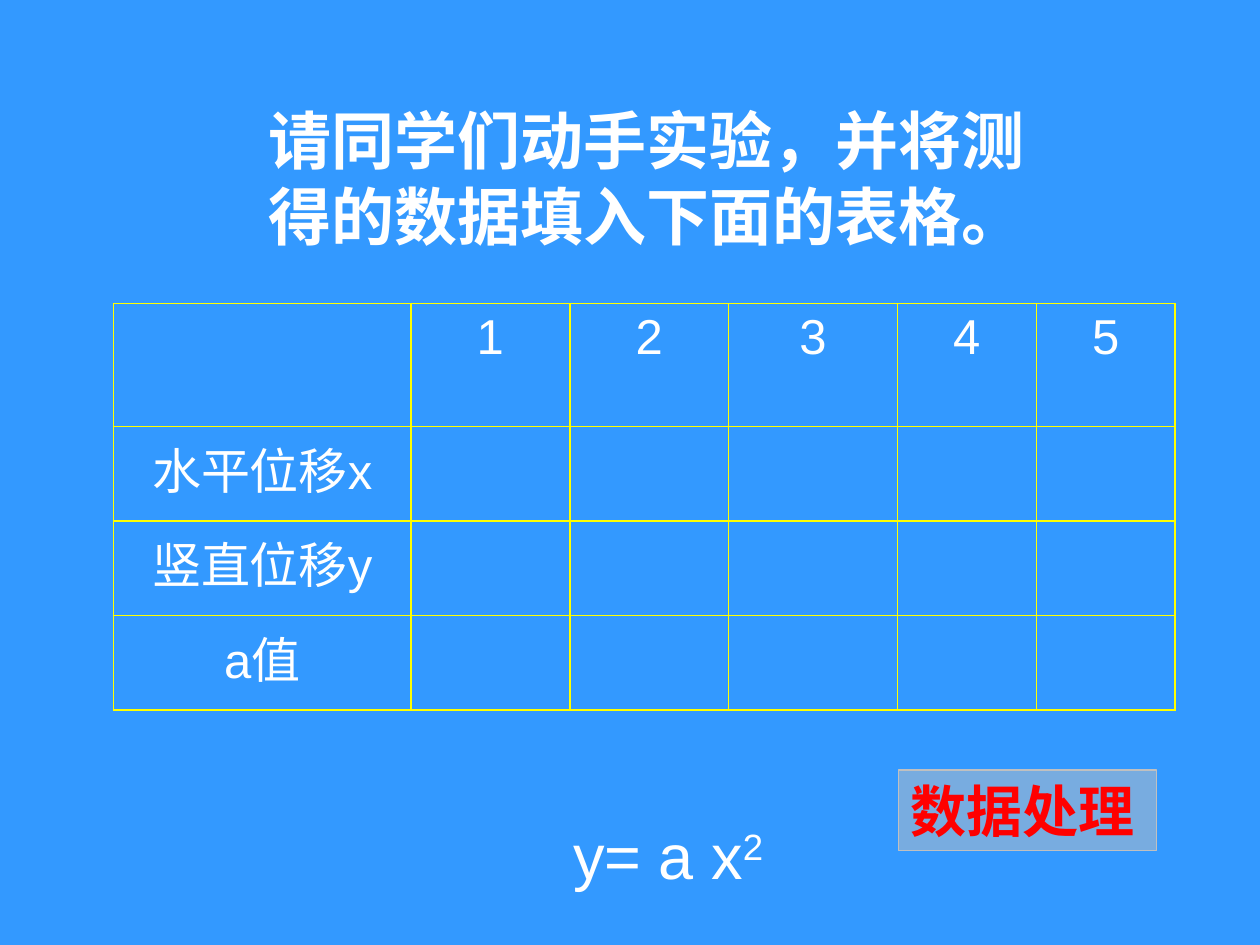
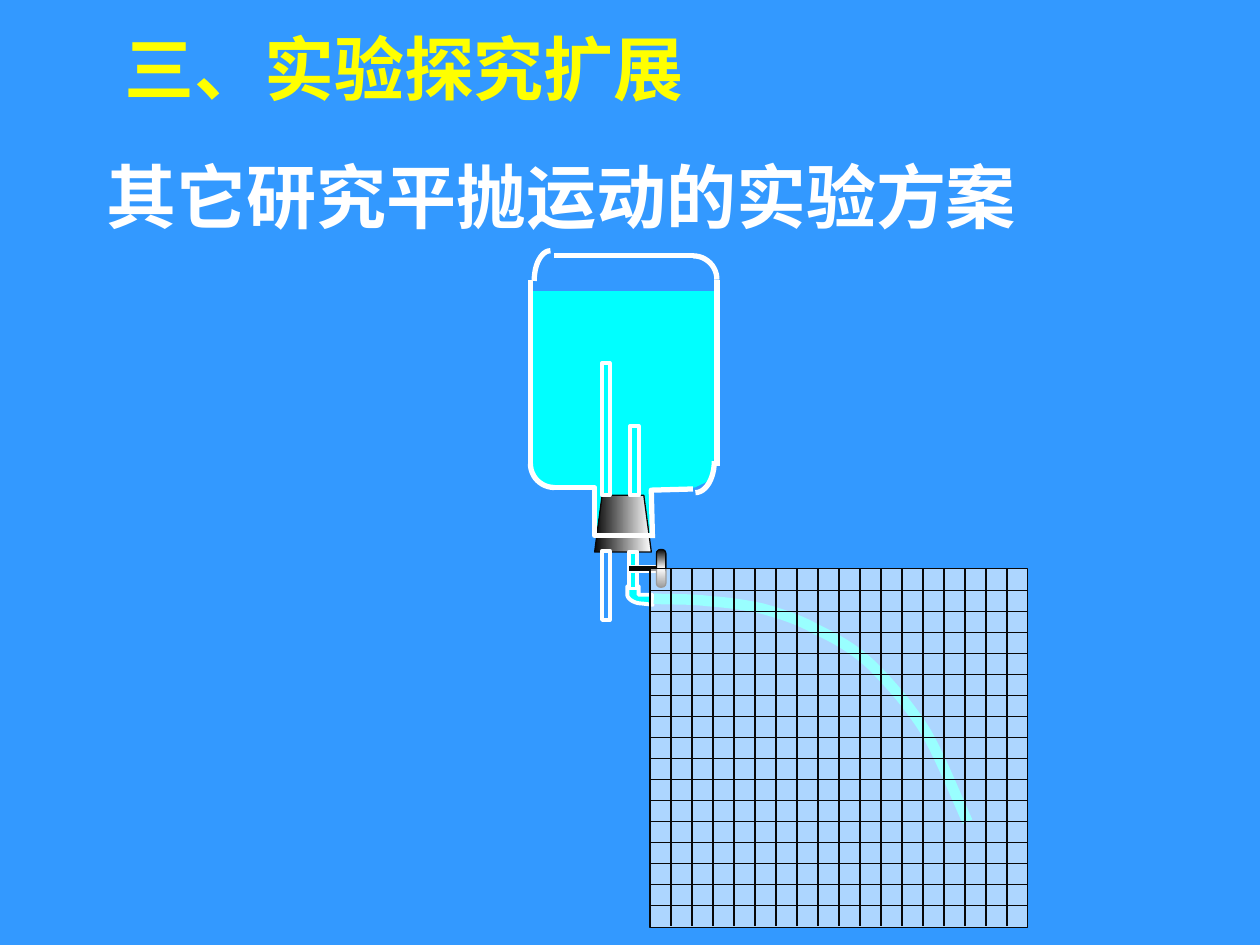
from math import cos, pi, sin

from lxml.etree import SubElement
from pptx import Presentation
from pptx.dml.color import RGBColor
from pptx.enum.shapes import MSO_CONNECTOR, MSO_SHAPE
from pptx.enum.text import MSO_ANCHOR, MSO_AUTO_SIZE, PP_ALIGN
from pptx.oxml.ns import qn
from pptx.util import Pt

BLUE, WHITE, YELLOW = "3399FF", "FFFFFF", "FFFF00"
CYAN, BLACK, SILVER, RED = "00FFFF", "080808", "C0C0C0", "FF0000"
FONT = "Arial"


def rgb(color):
    return RGBColor.from_string(color)


def add_page(deck):
    page = deck.slides.add_slide(deck.slide_layouts[6])
    page.background.fill.solid()
    page.background.fill.fore_color.rgb = rgb(BLUE)
    return page


def add_span(para, text, size, color=WHITE, bold=False):
    span = para.add_run()
    span.text = text
    span.font.name = FONT
    span.font.size = Pt(size)
    span.font.bold = bold
    span.font.color.rgb = rgb(color)
    return span


def add_text(page, left, top, width, height, text, size, color=WHITE,
             bold=True, wrap=False, anchor=MSO_ANCHOR.TOP):
    box = page.shapes.add_textbox(Pt(left), Pt(top), Pt(width), Pt(height))
    frame = box.text_frame
    frame.word_wrap = wrap
    frame.auto_size = MSO_AUTO_SIZE.SHAPE_TO_FIT_TEXT
    frame.vertical_anchor = anchor
    add_span(frame.paragraphs[0], text, size, color, bold)
    return box


def paint(shape, fill=None, line=None, weight=0.75, opacity=None):
    shape.shadow.inherit = False
    if fill:
        shape.fill.solid()
        shape.fill.fore_color.rgb = rgb(fill)
    else:
        shape.fill.background()
    if opacity:
        color = shape._element.spPr.find(qn("a:solidFill"))[0]
        SubElement(color, qn("a:alpha"), val=str(opacity * 1000))
    if line:
        shape.line.color.rgb = rgb(line)
        shape.line.width = Pt(weight)
    else:
        shape.line.fill.background()
    return shape


def paint_gradient(shape, colors, angle):
    """Spread the colours evenly along the shape."""
    shape.fill.gradient()
    shape.fill.gradient_angle = angle
    stops = shape._element.spPr.find(qn("a:gradFill")).find(qn("a:gsLst"))
    for stop in list(stops):
        stops.remove(stop)
    for index, color in enumerate(colors):
        position = index * 100000 // (len(colors) - 1)
        stop = SubElement(stops, qn("a:gs"), pos=str(position))
        SubElement(stop, qn("a:srgbClr"), val=color)


def add_box(page, left, top, width, height, kind=MSO_SHAPE.RECTANGLE, **style):
    box = page.shapes.add_shape(kind, Pt(left), Pt(top), Pt(width), Pt(height))
    return paint(box, **style)


def add_line(page, x1, y1, x2, y2, color, weight):
    line = page.shapes.add_connector(
        MSO_CONNECTOR.STRAIGHT, Pt(x1), Pt(y1), Pt(x2), Pt(y2))
    line.line.color.rgb = rgb(color)
    line.line.width = Pt(weight)
    SubElement(line._element.spPr, qn("a:effectLst"))


def add_outline(page, left, top, points, closed=False, **style):
    points = [(Pt(left + x), Pt(top + y)) for x, y in points]
    builder = page.shapes.build_freeform(*points[0], scale=1.0)
    builder.add_line_segments(points[1:], close=closed)
    return paint(builder.convert_to_shape(), **style)


def bezier(points, steps=10):
    """Flatten a chain of cubic curves that share their end points."""
    flat = [points[0]]
    for first in range(0, len(points) - 1, 3):
        curve = points[first:first + 4]
        for step in range(1, steps + 1):
            t = step / steps
            weights = ((1 - t) ** 3, 3 * t * (1 - t) ** 2,
                       3 * t * t * (1 - t), t ** 3)
            flat.append(tuple(sum(w * point[axis] for w, point in zip(weights, curve))
                              for axis in (0, 1)))
    return flat


def quarter_arc(side, flat, steps=12):
    """Go from a point on an upright side to a point on a level edge."""
    angles = [pi / 2 * step / steps for step in range(steps + 1)]
    return [(flat[0] + (side[0] - flat[0]) * cos(angle),
             side[1] + (flat[1] - side[1]) * sin(angle)) for angle in angles]


def border_cell(cell):
    properties = cell._tc.get_or_add_tcPr()
    for index, side in enumerate(("a:lnL", "a:lnR", "a:lnT", "a:lnB")):
        line = properties.makeelement(qn(side), {"w": str(Pt(1))})
        fill = SubElement(line, qn("a:solidFill"))
        SubElement(fill, qn("a:srgbClr"), val=YELLOW)
        properties.insert(index, line)


def add_data_table(page, left, top):
    widths = [170, 90.8, 90.8, 96.4, 79.4, 79.4]
    heights = [70.2, 54, 54, 54]
    row_names = ["水平位移x", "竖直位移y", "a值"]
    table = page.shapes.add_table(
        len(heights), len(widths), Pt(left), Pt(top),
        Pt(sum(widths)), Pt(sum(heights))).table
    table.first_row = table.horz_banding = False
    for column, width in zip(table.columns, widths):
        column.width = Pt(width)
    for row, height in zip(table.rows, heights):
        row.height = Pt(height)
    for cell in table.iter_cells():
        cell.fill.background()
        border_cell(cell)
    for number in range(1, len(widths)):
        para = table.cell(0, number).text_frame.paragraphs[0]
        para.alignment = PP_ALIGN.CENTER
        add_span(para, str(number), 28)
    for row, name in enumerate(row_names, 1):
        para = table.cell(row, 0).text_frame.paragraphs[0]
        para.alignment = PP_ALIGN.CENTER
        properties = para._p.get_or_add_pPr()
        properties.set("marL", str(Pt(42)))
        properties.set("indent", str(-Pt(42)))
        add_span(para, name, 28)


def add_button(page, left, top):
    button = add_box(page, left, top, 147.6, 46, fill=SILVER, line=SILVER, opacity=49)
    frame = button.text_frame
    frame.word_wrap = True
    frame.vertical_anchor = MSO_ANCHOR.TOP
    para = frame.paragraphs[0]
    para.alignment = PP_ALIGN.LEFT
    add_span(para, "数据处理", 32, RED, True)


def add_bottle(page, left, top):
    glass = {"line": WHITE, "weight": 3}
    water = [(69, 159), (68.4, 133.2), (77, 132.5), (84, 133.2), (94, 132.4),
             (103, 128.2), (105.4, 112), (105.8, 93), (106.6, 77), (106, 71),
             (0.7, 71), (0.7, 96), (0, 119.5), (1.5, 125.5), (3.6, 127.4),
             (10, 131.8), (18, 132.5), (32.4, 132), (36.7, 134.6),
             (36.4, 148), (38.2, 157), (48, 159.5)]
    stopper = [(36.7, 169.2), (41, 136.8), (64.8, 136.8), (69.1, 169.2)]
    corners = [((2.2, 14.4), (11.5, -2.9)), ((106.6, 13.6), (92.9, 0)),
               ((0, 118.8), (13.7, 132.4)), ((105.1, 117.3), (94.3, 135.3))]
    sides = [(13.7, 0, 92.9, 0), (0, 13.7, 0, 120), (106.6, 13.7, 106.6, 120)]
    neck = [[(13.7, 132.5), (36.7, 132.5), (36.7, 159.8), (69.1, 159.8)],
            [(92.9, 133.2), (69.1, 133.9), (69.8, 161.3)]]

    add_box(page, left, top + 20.2, 106.6, 51.8, fill=CYAN)
    add_outline(page, left, top, water, closed=True, fill=CYAN)
    plug = add_outline(page, left, top, stopper, closed=True, line=BLACK)
    paint_gradient(plug, [BLACK, WHITE], 0)
    for side, flat in corners:
        add_outline(page, left, top, quarter_arc(side, flat), **glass)
    for x1, y1, x2, y2 in sides:
        add_line(page, left + x1, top + y1, left + x2, top + y2, WHITE, 3)
    for points in neck:
        add_outline(page, left, top, points, **glass)


def add_tubes(page, left, top):
    """Draw the tubes, the jet and the valve below the bottle."""
    glass = {"line": WHITE, "weight": 2.25}
    elbow = ([(69.8, 199.4)]
             + bezier([(64.1, 198.7), (59, 198.7), (55.4, 195.8), (55.4, 193.7)])
             + [(55.4, 188.6), (61.9, 188.6), (61.9, 193.7), (69.8, 193.7)])
    jet = [(70.6, 195.8), (75.6, 196.6), (90.7, 195.8), (101.5, 197.3),
           (111.6, 198), (122.4, 199.4), (132.5, 201.6),
           (142.6, 204.5), (152.6, 207.4), (162.7, 213.1),
           (173.5, 218.2), (184.3, 223.9), (195.1, 234),
           (205.2, 244.1), (216.7, 257), (226.1, 272.2),
           (234.7, 287.3), (244.8, 312.5), (249.8, 323.3)]

    add_box(page, left + 41, top + 61.2, 4.3, 75.6, fill=CYAN, **glass)
    add_box(page, left + 41, top + 168.5, 4.3, 39.6, **glass)
    add_outline(page, left, top, elbow, closed=True, fill=CYAN, **glass)
    add_box(page, left + 56.2, top + 169.2, 5, 20.9, fill=CYAN, **glass)
    add_box(page, left + 56.9, top + 97.2, 5, 39.6, **glass)
    add_outline(page, left, top, bezier(jet), line=CYAN, weight=6)
    add_box(page, left + 56.2, top + 177.1, 16.6, 3.6, fill=BLACK, line=WHITE)
    handle = add_box(page, left + 72, top + 167.8, 5.4, 21.6,
                     MSO_SHAPE.ROUNDED_RECTANGLE, line=BLACK)
    handle.adjustments[0] = 0.43
    paint_gradient(handle, [BLACK, WHITE, BLACK], 90)


def add_grid(page, left, top, width, height, step=12):
    add_box(page, left, top, width, height, fill=WHITE, line=BLACK, opacity=60)
    right, bottom = left + width, top + height
    for row in range(16):
        y = top + 12.7 + row * step
        add_line(page, left, y, right, y, BLACK, 0.75)
    for column in range(18):
        x = left + column * step
        add_line(page, x, top + 0.7, x, bottom - 0.7, BLACK, 0.75)


def build_table_page(deck):
    page = add_page(deck)
    add_data_table(page, 64.8, 173.5)
    formula = add_text(page, 320.4, 463, 124.6, 50.4, "y= a x", 36, bold=False)
    power = add_span(formula.text_frame.paragraphs[0], "2", 36)
    power.font._element.set("baseline", "30000")
    add_text(page, 146.2, 54.7, 447.8, 93.6,
             "请同学们动手实验，并将测得的数据填入下面的表格。", 36, wrap=True)
    add_button(page, 513.4, 440)


def build_apparatus_page(deck):
    page = add_page(deck)
    add_text(page, 64, 10.8, 345.6, 55.4, "三、实验探究扩展", 40, YELLOW,
             anchor=MSO_ANCHOR.MIDDLE)
    add_bottle(page, 303.1, 146.2)
    add_tubes(page, 303.1, 146.2)
    add_grid(page, 371.4, 324.7, 216, 205.2)
    add_text(page, 54, 84.2, 545.8, 55.4, "其它研究平抛运动的实验方案", 40,
             anchor=MSO_ANCHOR.MIDDLE)


def main():
    deck = Presentation()
    deck.slide_width, deck.slide_height = Pt(720), Pt(540)
    build_table_page(deck)
    build_apparatus_page(deck)
    deck.save("out.pptx")


if __name__ == "__main__":
    main()
